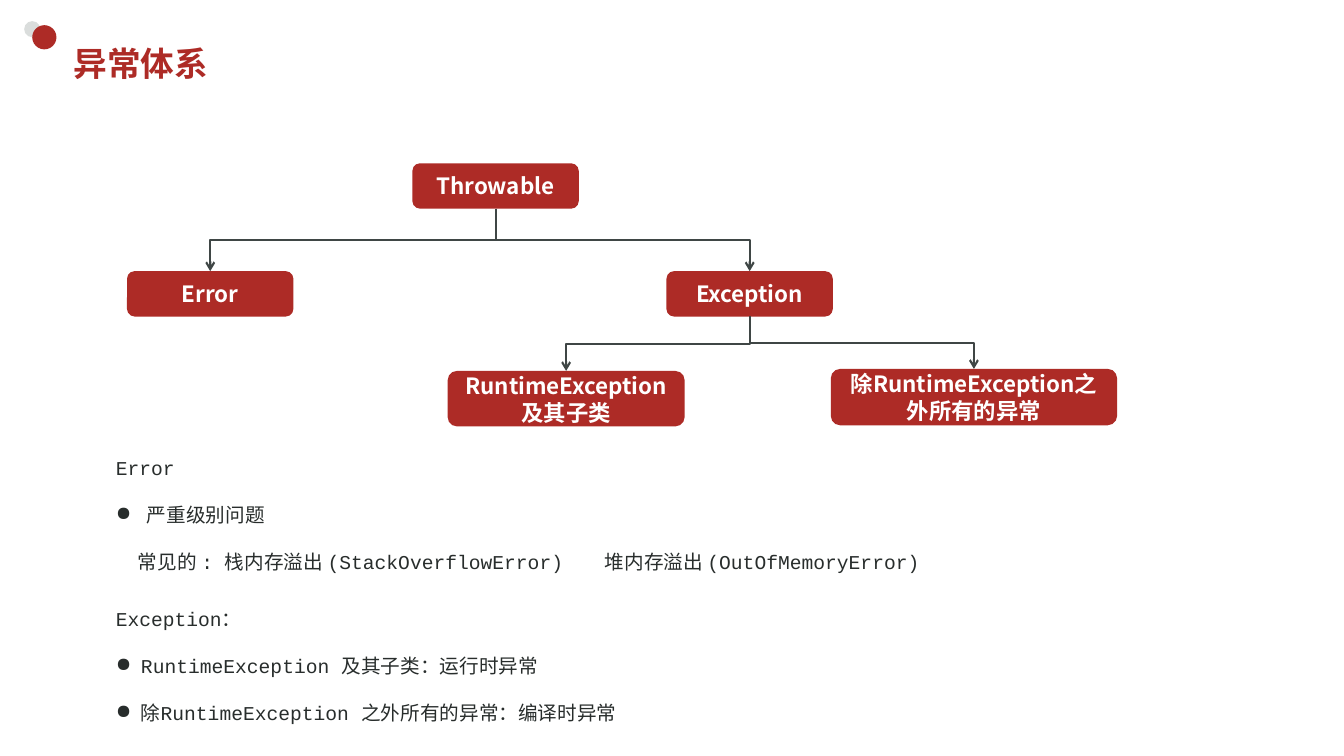
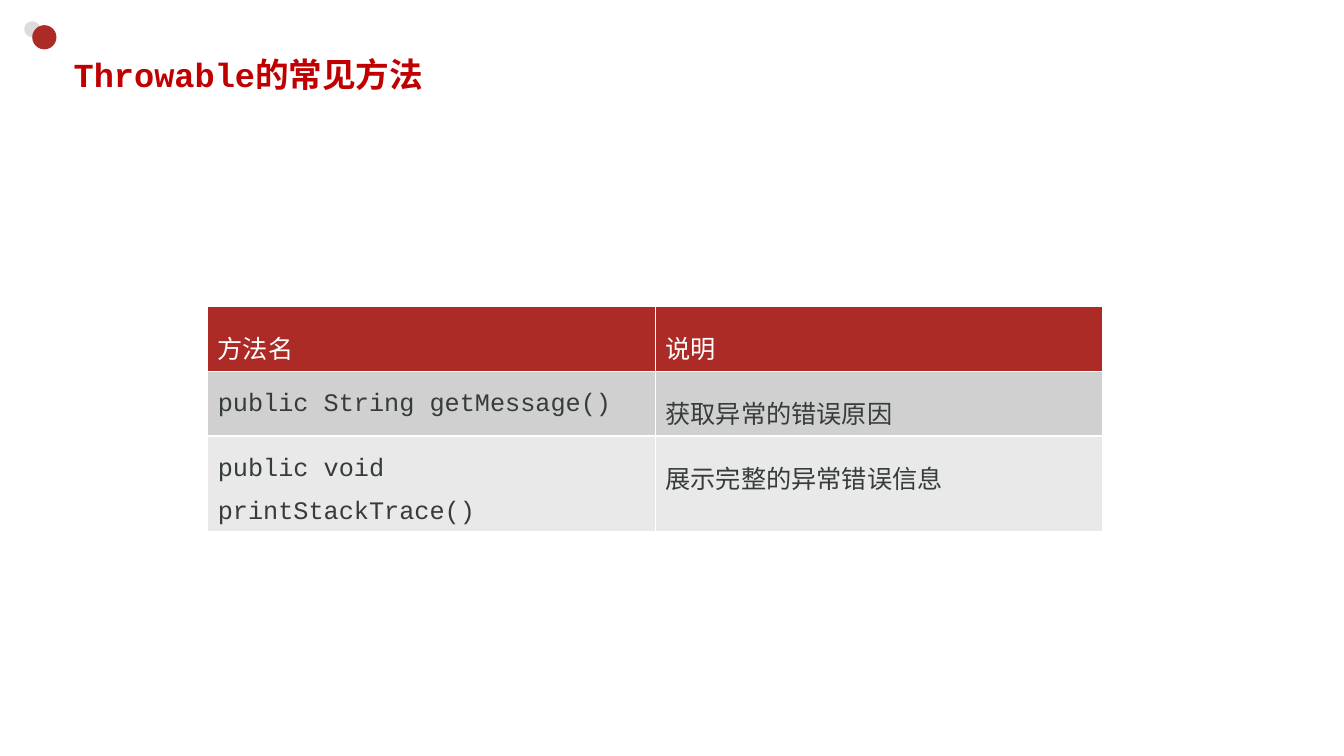
"""Build two slides on the Java exception hierarchy and the Throwable methods."""
from dataclasses import dataclass

from lxml.etree import SubElement
from pptx import Presentation
from pptx.dml.color import RGBColor as Color
from pptx.enum.shapes import MSO_CONNECTOR as Connector, MSO_SHAPE as Shape
from pptx.enum.text import MSO_ANCHOR as Anchor, MSO_AUTO_SIZE as AutoSize, PP_ALIGN as Align
from pptx.oxml.ns import qn
from pptx.util import Inches, Pt


@dataclass(frozen=True)
class Theme:
    red: str = "AD2B26"
    bright_red: str = "C00000"
    pale: str = "DADDDC"
    ink: str = "282D2C"
    table_ink: str = "363C3B"
    line: str = "3F4645"
    white: str = "FFFFFF"
    bands: tuple = ("D0D0D0", "E9E9E9")
    sans: str = "Noto Sans CJK JP"
    mono: str = "Courier New"
    title: int = 24
    table: int = 18
    node: int = 16
    body: int = 14


theme = Theme()


def style(para, size, color, face, bold=False, spacing=None):
    if spacing:
        para.line_spacing = spacing
    for span in para.runs:
        span.font.size = Pt(size)
        span.font.bold = bold
        span.font.color.rgb = Color.from_string(color)
        span.font.name = face
        SubElement(span.font._element, qn("a:ea"), typeface=theme.sans)


def add_solid(page, kind, left, top, width, height, color):
    solid = page.shapes.add_shape(kind, Inches(left), Inches(top), Inches(width), Inches(height))
    solid.shadow.inherit = False
    solid.fill.solid()
    solid.fill.fore_color.rgb = Color.from_string(color)
    solid.line.fill.background()
    return solid


deck = Presentation()
deck.slide_width, deck.slide_height = Inches(13.33), Inches(7.5)
layout = deck.slide_layouts[5]

titles = [
    ("异常体系", theme.red, theme.sans, None),
    ("Throwable的常见方法", theme.bright_red, theme.mono, 1.5),
]
for text, color, face, spacing in titles:
    page = deck.slides.add_slide(layout)
    title = page.shapes.title
    title.left, title.top = Inches(0.63), Inches(0.37)
    title.width, title.height = Inches(11.74), Inches(0.52)
    frame = title.text_frame
    frame.text = text
    frame.auto_size = AutoSize.NONE
    frame.vertical_anchor = Anchor.MIDDLE
    frame.paragraphs[0].alignment = Align.LEFT
    style(frame.paragraphs[0], theme.title, color, face, True, spacing)

tree_page, table_page = deck.slides

for left, top, size, color in [(0.24, 0.21, 0.16, theme.pale), (0.32, 0.25, 0.24, theme.red)]:
    dot = add_solid(tree_page, Shape.OVAL, left, top, size, size, color)
    layout.shapes.element.append(dot.element)

node_places = {
    "Throwable": (4.09, 1.62, 1.65, 0.45),
    "Error": (1.26, 2.69, 1.65, 0.45),
    "Exception": (6.61, 2.69, 1.65, 0.45),
    "RuntimeException及其子类": (4.44, 3.68, 2.35, 0.55),
    "除RuntimeException之外所有的异常": (8.24, 3.66, 2.84, 0.56),
}
nodes = {}
for text, place in node_places.items():
    node = add_solid(tree_page, Shape.ROUNDED_RECTANGLE, *place, theme.red)
    frame = node.text_frame
    frame.text = text
    frame.word_wrap = True
    frame.vertical_anchor = Anchor.MIDDLE
    frame.paragraphs[0].alignment = Align.CENTER
    style(frame.paragraphs[0], theme.node, theme.white, theme.sans, True)
    nodes[text] = node

branches = [
    ("Throwable", "Exception"),
    ("Throwable", "Error"),
    ("Exception", "除RuntimeException之外所有的异常"),
    ("Exception", "RuntimeException及其子类"),
]
for parent_name, child_name in branches:
    parent, child = nodes[parent_name], nodes[child_name]
    start_x, start_y = parent.left + parent.width // 2, parent.top + parent.height
    end_x, end_y = child.left + child.width // 2, child.top
    branch = tree_page.shapes.add_connector(Connector.ELBOW, 0, 0, 0, 0)
    branch.begin_connect(parent, 2)
    branch.end_connect(child, 0)
    drop, reach = end_y - start_y, abs(end_x - start_x)
    branch.left = (start_x + end_x - drop) // 2
    branch.top = (start_y + end_y - reach) // 2
    branch.width, branch.height = drop, reach
    properties = branch.element.spPr
    frame = properties.find(qn("a:xfrm"))
    to_right = end_x > start_x
    frame.set("rot", "16200000" if to_right else "5400000")
    frame.set("flipH", "1" if to_right else "0")
    frame.set("flipV", "0")
    branch.line.width = Pt(1.5)
    branch.line.color.rgb = Color.from_string(theme.line)
    SubElement(properties.find(qn("a:ln")), qn("a:tailEnd"), type="arrow")
    SubElement(properties, qn("a:effectLst"))

notes = [
    (4.24, 9.8, 0.31, [
        ("Error", False),
        ("严重级别问题", True),
        ("\t常见的 : 栈内存溢出 (StackOverflowError)\t堆内存溢出 (OutOfMemoryError)", False),
    ]),
    (5.74, 12.28, 0.25, [
        ("Exception：", False),
        ("RuntimeException 及其子类：运行时异常", True),
        ("除RuntimeException 之外所有的异常：编译时异常", True),
    ]),
]
for top, width, indent, lines in notes:
    box = tree_page.shapes.add_textbox(Inches(1.05), Inches(top), Inches(width), Inches(1.45))
    frame = box.text_frame
    frame.word_wrap = True
    frame.text = "\n".join(text for text, _ in lines)
    for para, (text, bulleted) in zip(frame.paragraphs, lines):
        style(para, theme.body, theme.ink, theme.mono, spacing=2.0)
        settings = para._p.get_or_add_pPr()
        if bulleted:
            settings.set("marL", str(Inches(indent)))
            settings.set("indent", str(-Inches(indent)))
            SubElement(settings, qn("a:buChar"), char="●")
        if "\t" in text:
            stops = SubElement(settings, qn("a:tabLst"))
            for stop in (0.22, 4.85):
                SubElement(stops, qn("a:tab"), pos=str(Inches(stop)), algn="l")

rows = [
    ("方法名", "说明"),
    ("public String getMessage()", "获取异常的错误原因"),
    ("public void printStackTrace()", "展示完整的异常错误信息"),
]
row_heights = (0.37, 0.41, 0.41)
table = table_page.shapes.add_table(
    len(rows), 2, Inches(2.06), Inches(3.04), Inches(8.88), Inches(sum(row_heights))
).table
fills = (theme.red, *theme.bands)
for row, texts, height, fill in zip(table.rows, rows, row_heights, fills):
    row.height = Inches(height)
    color = theme.white if fill == theme.red else theme.table_ink
    for cell, text in zip(row.cells, texts):
        cell.text = text
        style(cell.text_frame.paragraphs[0], theme.table, color, theme.mono, spacing=1.5)
        settings = cell._tc.get_or_add_tcPr()
        for side in ("lnL", "lnR", "lnT", "lnB"):
            border = SubElement(settings, qn(f"a:{side}"), w=str(Pt(1)))
            paint = SubElement(border, qn("a:solidFill"))
            SubElement(paint, qn("a:srgbClr"), val=theme.white)
        cell.fill.solid()
        cell.fill.fore_color.rgb = Color.from_string(fill)

deck.save("out.pptx")
